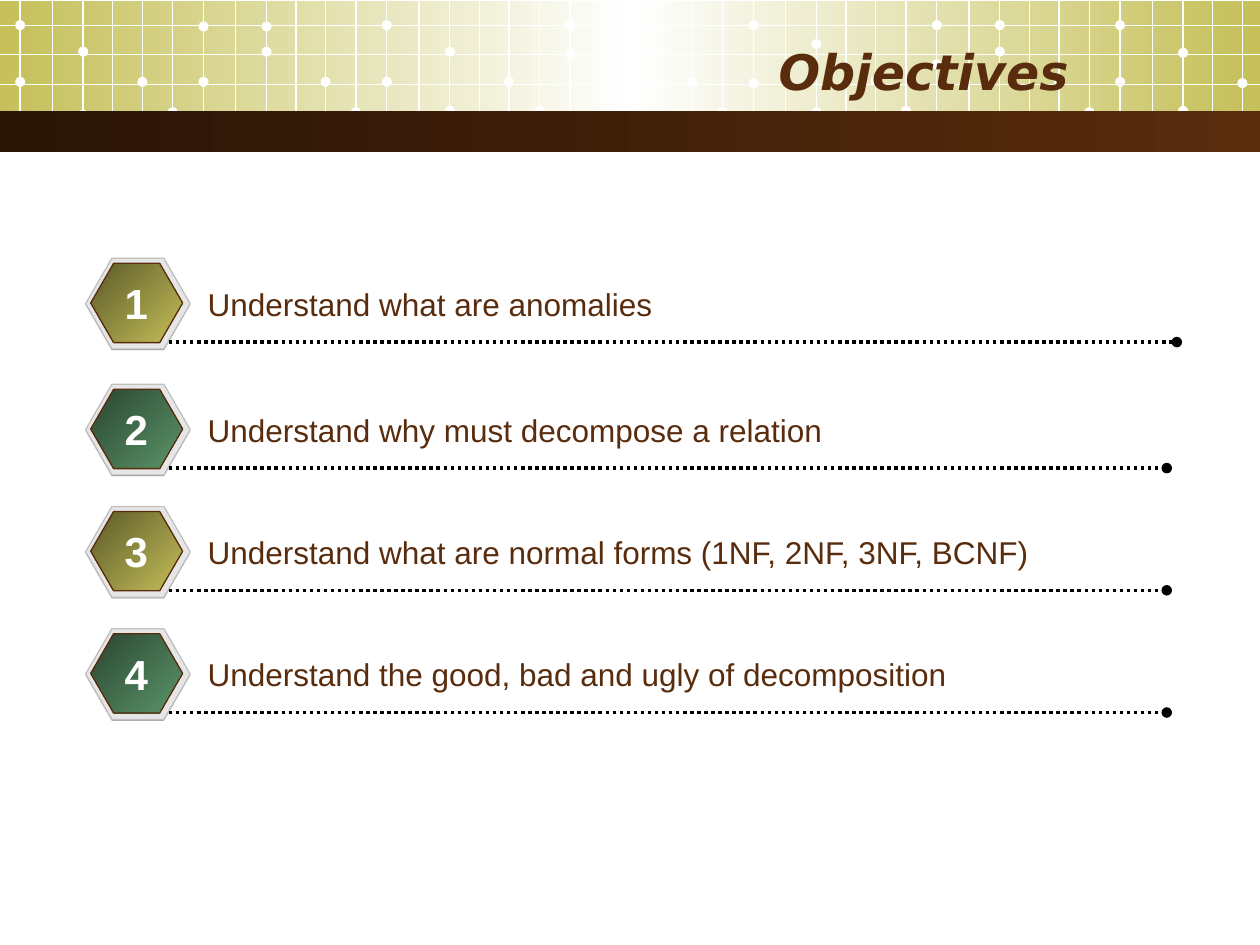
import lxml.etree
import pptx
import pptx.dml.color
import pptx.enum.dml
import pptx.enum.shapes
import pptx.enum.text
import pptx.oxml.ns
import pptx.util

COLORS = {
    "white": "FFFFFF", "black": "000000", "brown": "592C0D", "dark brown": "291406",
    "olive": "C5C059", "dark olive": "5B5929", "green": "5B9569", "dark green": "2A4531",
    "shadow": "808080", "rim": "E6E6E6", "rim line": "C0C0C0",
}
COLUMNS, ROWS = 100, 75
SHAPES = pptx.enum.shapes.MSO_SHAPE
ALIGN = pptx.enum.text.PP_ALIGN
ANCHOR = pptx.enum.text.MSO_ANCHOR


def rgb(name):
    return pptx.dml.color.RGBColor.from_string(COLORS[name])


def add_xml(parent, tag, **attributes):
    return lxml.etree.SubElement(parent, pptx.oxml.ns.qn(tag), **attributes)


def write_text(shape, text, size=18, font="Arial", color="brown", bold=False,
               italic=False, align=ALIGN.LEFT, anchor=ANCHOR.TOP, wrap=True):
    frame = shape.text_frame
    frame.word_wrap = wrap
    frame.vertical_anchor = anchor
    frame.margin_left = frame.margin_right = pptx.util.Inches(0.1)
    frame.margin_top = frame.margin_bottom = pptx.util.Inches(0.05)
    paragraph = frame.paragraphs[0]
    paragraph.text = text
    paragraph.alignment = align
    paragraph.font.size = pptx.util.Pt(size)
    paragraph.font.name = font
    paragraph.font.bold = bold
    paragraph.font.italic = italic
    paragraph.font.color.rgb = rgb(color)


class Deck:
    """Holds the presentation, the current slide and its 100 by 75 grid."""

    def __init__(self):
        self.presentation = pptx.Presentation()
        self.presentation.slide_width = pptx.util.Inches(10)
        self.presentation.slide_height = pptx.util.Inches(7.5)
        self.column = self.presentation.slide_width / COLUMNS
        self.row = self.presentation.slide_height / ROWS
        self.slide = self.presentation.slides.add_slide(self.presentation.slide_layouts[5])

    def box(self, left, top, width, height):
        return (round(left * self.column), round(top * self.row),
                round(width * self.column), round(height * self.row))

    def title(self, text, place, **style):
        title = self.slide.shapes.title
        title.left, title.top, title.width, title.height = self.box(*place)
        write_text(title, text, **style)
        # Bring the title in front of the banner
        self.slide.shapes._spTree.append(title._element)

    def text(self, text, place, **style):
        write_text(self.slide.shapes.add_textbox(*self.box(*place)), text, **style)

    def shape(self, kind, place, colors, angle=0, line=None):
        """Several colors make an evenly spaced gradient."""
        shape = self.slide.shapes.add_shape(kind, *self.box(*place))
        shape.shadow.inherit = False
        if len(colors) == 1:
            shape.fill.solid()
            shape.fill.fore_color.rgb = rgb(colors[0])
        else:
            shape.fill.gradient()
            shape.fill.gradient_angle = angle
            stops = shape._element.spPr.find(".//" + pptx.oxml.ns.qn("a:gsLst"))
            for stop in list(stops):
                stops.remove(stop)
            for index, color in enumerate(colors):
                position = round(100000 * index / (len(colors) - 1))
                stop = add_xml(stops, "a:gs", pos=str(position))
                add_xml(stop, "a:srgbClr", val=COLORS[color])
        if line:
            shape.line.color.rgb = rgb(line)
            shape.line.width = pptx.util.Pt(0.75)
        else:
            shape.line.fill.background()
        return shape

    def hexagon(self, place, colors, **style):
        self.shape(SHAPES.HEXAGON, place, colors, **style).adjustments[0] = 0.289

    def line(self, start, end, color="white", width=0.75, dotted=False):
        x1, y1, x2, y2 = self.box(*start, *end)
        connector = self.slide.shapes.add_connector(
            pptx.enum.shapes.MSO_CONNECTOR.STRAIGHT, x1, y1, x2, y2)
        connector.line.color.rgb = rgb(color)
        connector.line.width = pptx.util.Pt(width)
        if dotted:
            connector.line.dash_style = pptx.enum.dml.MSO_LINE.ROUND_DOT
            add_xml(connector.line._get_or_add_ln(), "a:tailEnd", type="oval")
        add_xml(connector._element.spPr, "a:effectLst")

    def dot(self, x, y, size=0.8):
        self.shape(SHAPES.OVAL, (x - size / 2, y - size / 2, size, size), ["white"])

    def objective(self, number, text, top, line_end, colors):
        self.hexagon((6.8, top + 0.1, 8.3, 7.2), ["shadow"])
        self.hexagon((6.8, top, 8.3, 7.2), ["rim"], line="rim line")
        self.hexagon((7.2, top + 0.4, 7.3, 6.3), colors, angle=315, line="brown")
        self.line((13.4, top + 6.65), (line_end, top + 6.65), "black", 2, dotted=True)
        self.text(text, (15.5, top + 1.6, 76.4, 4))
        self.text(str(number), (8.9, top + 1.05, 3.8, 5), size=24, color="white",
                  bold=True, align=ALIGN.CENTER, wrap=False)


# Banner lattice: each tile has the same line offsets; dots sit on some lines
TILE_START, TILE_PITCH = 1.6, 14.55
LINE_OFFSETS = (0, 2.55, 5, 7.35, 9.7, 12.1)
DOT_OFFSETS = (0, 0, 5, 5, 9.7, 12.1)
DOT_HEIGHTS = [
    (6.5, 2, 4.1, 9.1, 6.5, 8.9),
    (6.5, 2.1, 4.1, 2.1, 6.5, 8.9),
    (6.5, 2, 4.1, 8.8, 6.5, 8.8),
    (4.3, 2, 4.2, 2, 6.5, 8.9),
    (6.6, 2, 3.5, 8.9, 6.4, 8.8),
    (5.1, 2, 4.1, 2, 6.5, 8.9),
    (6.5, 2, 4.2, 8.8, 6.6),
]
LATTICE_ROWS = (2, 4.3, 6.7, 8.9)

OLIVE, GREEN = ["dark olive", "olive"], ["dark green", "green"]
OBJECTIVES = [
    ("Understand what are anomalies", 20.5, 93.4, OLIVE),
    ("Understand why must decompose a relation", 30.5, 92.6, GREEN),
    ("Understand what are normal forms (1NF, 2NF, 3NF, BCNF)", 40.2, 92.6, OLIVE),
    ("Understand the good, bad and ugly of decomposition", 49.9, 92.6, GREEN),
]


def main():
    deck = Deck()

    # Banner with its lattice
    deck.shape(SHAPES.RECTANGLE, (0, 0.1, 100, 10.2), ["olive", "white", "olive"])
    for tile, heights in enumerate(DOT_HEIGHTS):
        start = TILE_START + tile * TILE_PITCH
        for offset in LINE_OFFSETS:
            if start + offset < COLUMNS:
                deck.line((start + offset, 0), (start + offset, 11))
        for offset, height in zip(DOT_OFFSETS, heights):
            deck.dot(start + offset, height)
    for height in LATTICE_ROWS:
        deck.line((0, height), (COLUMNS, height))

    # Dark band and title
    deck.shape(SHAPES.RECTANGLE, (0, 8.8, 100, 3.3), ["dark brown", "brown"])
    deck.title("Objectives", (5, 2.5, 80.8, 6.2), size=28, font="DejaVu Sans",
               bold=True, italic=True, align=ALIGN.RIGHT, anchor=ANCHOR.MIDDLE)

    # Numbered objectives
    for number, (text, top, line_end, colors) in enumerate(OBJECTIVES, start=1):
        deck.objective(number, text, top, line_end, colors)

    deck.presentation.save("out.pptx")


if __name__ == "__main__":
    main()
